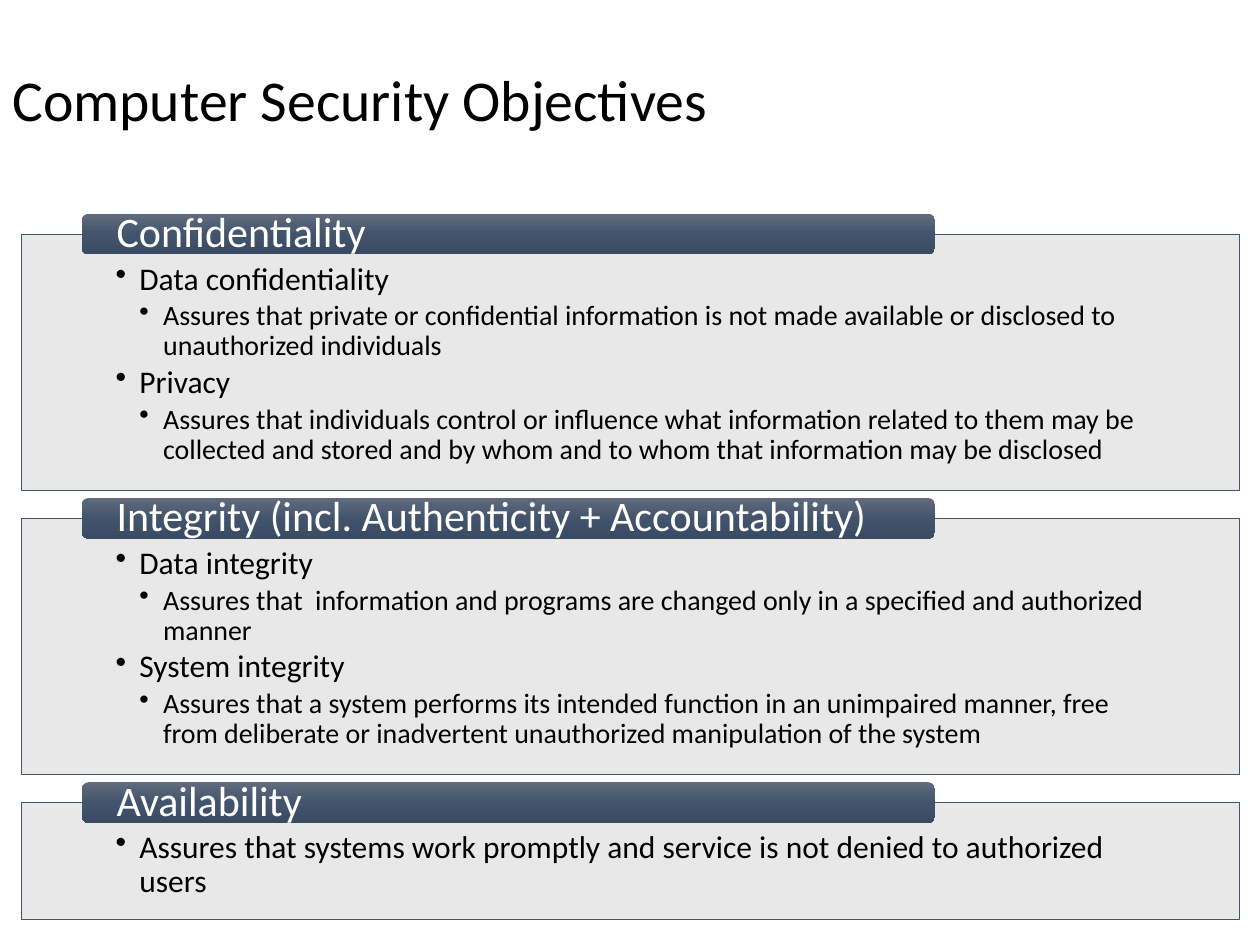
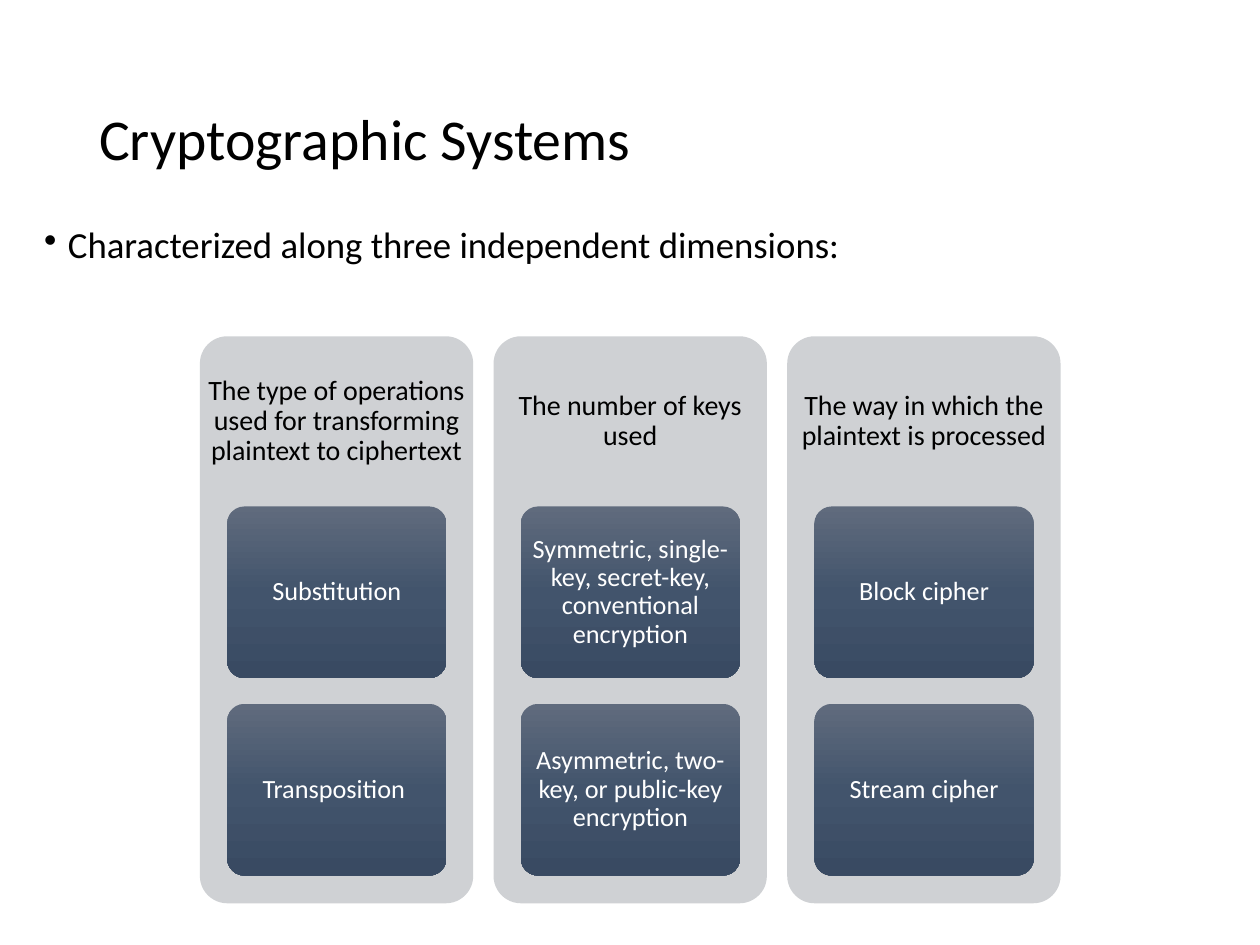
from copy import deepcopy

from pptx import Presentation
from pptx.dml.color import RGBColor
from pptx.enum.shapes import MSO_SHAPE as Preset
from pptx.enum.text import MSO_ANCHOR as Anchor, MSO_AUTO_SIZE as AutoSize, PP_ALIGN as Align
from pptx.oxml.ns import qn
from pptx.oxml.xmlchemy import OxmlElement
from pptx.util import Cm, Pt

COLORS = {
    "text": "000000",
    "light_text": "FFFFFF",
    "panel": "E7E6E6",
    "outline": "44546A",
    "column": "CFD1D4",
}
GRADIENT = [(0, "606B7D"), (0.5, "42546C"), (1, "394A62")]
FONT = "Calibri"
INDENT = 0.48


def write(shape, text, size=16, color="text", align=Align.LEFT, anchor=Anchor.MIDDLE,
          margins=(0.25, 0.13, 0.25, 0.13), bullets=False, sub_size=16):
    frame = shape.text_frame
    frame.word_wrap = True
    frame.auto_size = AutoSize.NONE
    frame.vertical_anchor = anchor
    frame.margin_left, frame.margin_top, frame.margin_right, frame.margin_bottom = map(Cm, margins)
    lines = [(0, text)] if isinstance(text, str) else text
    for index, (level, line) in enumerate(lines):
        paragraph = frame.paragraphs[0] if index == 0 else frame.add_paragraph()
        paragraph.alignment = align
        paragraph.line_spacing = 0.9
        paragraph.level = level
        line_size = sub_size if level else size
        if bullets:
            paragraph.space_after = Pt(round(line_size * 0.15, 1))
            properties = paragraph._p.get_or_add_pPr()
            properties.set("marL", str(Cm(INDENT * (level + 1))))
            properties.set("indent", str(-Cm(INDENT)))
            bullet = OxmlElement("a:buChar")
            bullet.set("char", "•")
            properties.append(bullet)
        run = paragraph.add_run()
        run.text = line
        run.font.name = FONT
        run.font.size = Pt(line_size)
        run.font.color.rgb = RGBColor.from_string(COLORS[color])


def add_block(slide, preset, box, fill=None, corner=None):
    shape = slide.shapes.add_shape(preset, *map(Cm, box))
    shape.shadow.inherit = False
    shape.line.fill.background()
    if corner:
        shape.adjustments[0] = corner
    if fill:
        shape.fill.solid()
        shape.fill.fore_color.rgb = RGBColor.from_string(COLORS[fill])
        return shape
    shape.fill.gradient()
    shape.fill.gradient_angle = 270
    stop_list = shape._element.spPr.find(qn("a:gradFill")).find(qn("a:gsLst"))
    stop_list.append(deepcopy(stop_list[0]))
    for stop, (position, color) in zip(shape.fill.gradient_stops, GRADIENT):
        stop.position = position
        stop.color.rgb = RGBColor.from_string(color)
    return shape


presentation = Presentation()
presentation.slide_width = Cm(25.4)
presentation.slide_height = Cm(19.05)

slides = []
for heading, box in [
    ("Computer Security Objectives", (0, 0.1, 25.4, 3.94)),
    ("Cryptographic Systems", (1.75, 1.02, 21.9, 3.68)),
]:
    slide = presentation.slides.add_slide(presentation.slide_layouts[5])
    title = slide.shapes.title
    title.left, title.top, title.width, title.height = map(Cm, box)
    write(title, heading, size=33)
    slides.append(slide)
objectives_slide, systems_slide = slides

objectives = [
    ("Confidentiality", 5.16, [
        (0, "Data confidentiality"),
        (1, "Assures that private or confidential information is not made available or "
            "disclosed to unauthorized individuals"),
        (0, "Privacy"),
        (1, "Assures that individuals control or influence what information related to them "
            "may be collected and stored and by whom and to whom that information may be disclosed"),
    ]),
    ("Integrity (incl. Authenticity + Accountability)", 5.16, [
        (0, "Data integrity"),
        (1, "Assures that  information and programs are changed only in a specified and "
            "authorized manner"),
        (0, "System integrity"),
        (1, "Assures that a system performs its intended function in an unimpaired manner, "
            "free from deliberate or inadvertent unauthorized manipulation of the system"),
    ]),
    ("Availability", 2.36, [
        (0, "Assures that systems work promptly and service is not denied to authorized users"),
    ]),
]
panel_top = 4.72
for name, panel_height, details in objectives:
    panel = add_block(objectives_slide, Preset.RECTANGLE, (0.43, panel_top, 24.56, panel_height), "panel")
    panel.line.color.rgb = RGBColor.from_string(COLORS["outline"])
    panel.line.width = Pt(0.5)
    alpha = OxmlElement("a:alpha")
    alpha.set("val", "90000")
    panel._element.spPr.find(qn("a:solidFill"))[0].append(alpha)
    write(panel, details, size=18, anchor=Anchor.TOP, margins=(1.9, 0.58, 1.9, 0.36), bullets=True)
    bar = add_block(objectives_slide, Preset.ROUNDED_RECTANGLE, (1.65, panel_top - 0.41, 17.2, 0.82))
    write(bar, name, size=24, color="light_text", margins=(0.66, 0, 0.66, 0))
    panel_top += panel_height + 0.57

intro = systems_slide.shapes.add_textbox(Cm(0.64), Cm(4.45), Cm(23.93), Cm(2.54))
write(intro, [(0, "Characterized along three independent dimensions:")],
      size=21, anchor=Anchor.TOP, bullets=True)

dimensions = [
    ("The type of operations used for transforming plaintext to ciphertext",
     ["Substitution", "Transposition "]),
    ("The number of keys used",
     ["Symmetric, single-key, secret-key, conventional encryption",
      "Asymmetric, two-key, or public-key encryption"]),
    ("The way in which the plaintext is processed",
     ["Block cipher", "Stream cipher"]),
]
for column_index, (dimension, options) in enumerate(dimensions):
    column_left = 4.03 + column_index * 5.92
    add_block(systems_slide, Preset.ROUNDED_RECTANGLE, (column_left, 6.78, 5.51, 11.43), "column", 0.1)
    label = systems_slide.shapes.add_textbox(Cm(column_left), Cm(6.78), Cm(5.51), Cm(3.43))
    write(label, dimension, align=Align.CENTER, margins=(0.17, 0.17, 0.17, 0.17))
    for row, option in enumerate(options):
        card_box = (column_left + 0.55, 10.21 + row * 3.98, 4.42, 3.46)
        card = add_block(systems_slide, Preset.ROUNDED_RECTANGLE, card_box, corner=0.1)
        write(card, option, size=15, color="light_text", align=Align.CENTER,
              margins=(0.1, 0.08, 0.1, 0.08))

presentation.save("out.pptx")
